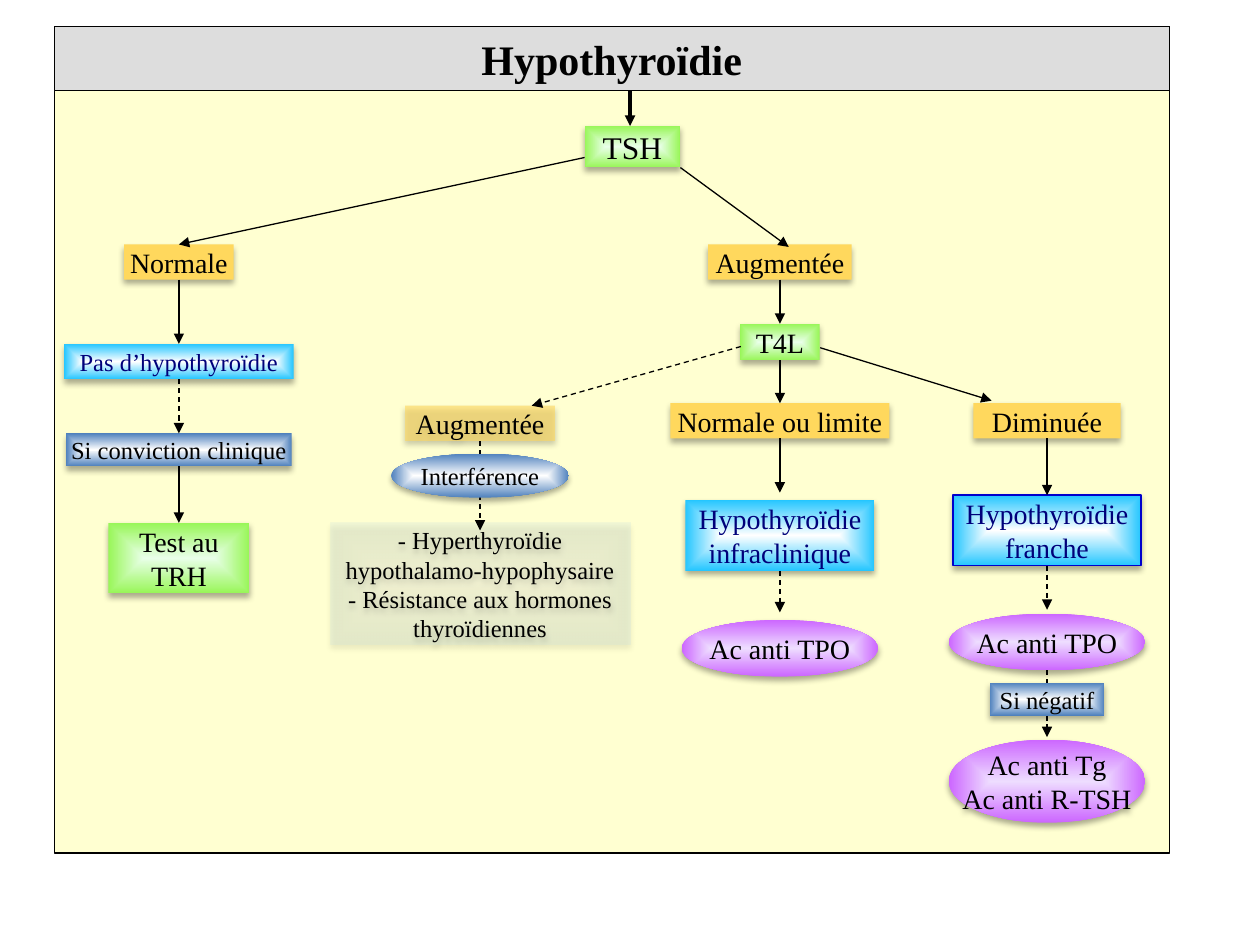
from dataclasses import dataclass

from lxml import etree
from pptx import Presentation
from pptx import util as u
from pptx.dml.color import RGBColor
from pptx.enum import dml, shapes, text
from pptx.oxml.ns import qn


@dataclass(frozen=True)
class Theme:
    font: str = "Times New Roman"
    black: str = "000000"
    navy: str = "00007A"
    outline: str = "0000CC"
    panel: tuple = ("FFFFD1",)
    header: tuple = ("DDDDDD",)
    amber: tuple = ("FFD85D",)
    # Gradients run from the centre to the edge
    green: tuple = ("E9FFE9", "98F658")
    sky: tuple = ("FFFFFF", "25C6FF")
    steel: tuple = ("FFFFFF", "4F81BD")
    violet: tuple = ("EEDDFF", "CC66FF")
    mist: tuple = ("FFFFFF", "CAE4E3")
    title: int = 24
    large: int = 18
    body: int = 16
    small: int = 14


theme = Theme()
RECT, OVAL = shapes.MSO_SHAPE.RECTANGLE, shapes.MSO_SHAPE.OVAL
LEFT, MIDDLE, T4L, RIGHT = 1.42, 3.81, 6.19, 8.31  # column centres
TOP, BOTTOM = 0, 2  # connection sites

deck = Presentation()
deck.slide_width, deck.slide_height = u.Inches(10), u.Inches(7.5)
page = deck.slides.add_slide(deck.slide_layouts[6])


def add_box(lines, centre, top, width, height, fill, size=theme.body, color=theme.black,
            kind=RECT, line=None, line_width=0.75, opacity=100, bold=False, shadow=True):
    """Add a shape centred on a column, with one paragraph per line of text."""
    box = page.shapes.add_shape(kind, u.Inches(centre - width / 2), u.Inches(top),
                                u.Inches(width), u.Inches(height))
    properties = box._element.spPr
    if len(fill) == 1:
        box.fill.solid()
        box.fill.fore_color.rgb = RGBColor.from_string(fill[0])
    else:
        box.fill.gradient()
        for stop, shade in zip(box.fill.gradient_stops, fill):
            stop.color.rgb = RGBColor.from_string(shade)
        gradient = properties.find(qn("a:gradFill"))
        gradient.remove(gradient.find(qn("a:lin")))
        route = etree.SubElement(gradient, qn("a:path"), path="shape")
        etree.SubElement(route, qn("a:fillToRect"), l="50000", t="50000", r="50000", b="50000")
    if opacity < 100:
        for shade in properties.iter(qn("a:srgbClr")):
            etree.SubElement(shade, qn("a:alpha"), val=str(opacity * 1000))
    if line:
        box.line.color.rgb = RGBColor.from_string(line)
        box.line.width = u.Pt(line_width)
    else:
        box.line.fill.background()
    box.shadow.inherit = False
    if shadow:
        outer = etree.SubElement(properties.find(qn("a:effectLst")), qn("a:outerShdw"),
                                 blurRad=str(u.Pt(3.5)), dist=str(u.Pt(2.2)),
                                 dir="5400000", rotWithShape="0")
        shade = etree.SubElement(outer, qn("a:srgbClr"), val=theme.black)
        etree.SubElement(shade, qn("a:alpha"), val="32000")

    frame = box.text_frame
    frame.word_wrap = kind == RECT
    frame.vertical_anchor = text.MSO_ANCHOR.MIDDLE
    frame.margin_left = frame.margin_right = u.Inches(0.02)
    frame.margin_top = frame.margin_bottom = u.Inches(0.01)
    for number, words in enumerate(lines):
        para = frame.add_paragraph() if number else frame.paragraphs[0]
        para.alignment = text.PP_ALIGN.CENTER
        span = para.add_run()
        span.text = words
        span.font.name, span.font.size, span.font.bold = theme.font, u.Pt(size), bold
        span.font.color.rgb = RGBColor.from_string(color)
    return box


def add_arrow(start, end, dashed=False, width=0.75):
    """Add an arrow; each end is a box (bottom at the start, top at the end) or a point."""
    points = [end_point if isinstance(end_point, tuple) else (0, 0) for end_point in (start, end)]
    arrow = page.shapes.add_connector(shapes.MSO_CONNECTOR.STRAIGHT,
                                      *[u.Inches(value) for point in points for value in point])
    if not isinstance(start, tuple):
        arrow.begin_connect(start, BOTTOM)
    if not isinstance(end, tuple):
        arrow.end_connect(end, TOP)
    arrow.line.color.rgb = RGBColor.from_string(theme.black)
    arrow.line.width = u.Pt(width)
    if dashed:
        arrow.line.dash_style = dml.MSO_LINE.DASH
    properties = arrow._element.spPr
    etree.SubElement(properties.find(qn("a:ln")), qn("a:tailEnd"), type="triangle")
    etree.SubElement(properties, qn("a:effectLst"))


# Panel and heading
add_box([], 4.855, 0.21, 8.85, 6.56, theme.panel, line=theme.black, shadow=False)
add_box(["Hypothyroïdie"], 4.855, 0.21, 8.85, 0.51, theme.header, theme.title,
        line=theme.black, bold=True, shadow=False)

# Tests and their results
add_box(["TSH"], 5.02, 1, 0.76, 0.33, theme.green, theme.large)
t4l = add_box(["T4L"], T4L, 2.57, 0.63, 0.29, theme.green)
trh = add_box(["Test au TRH"], LEFT, 4.15, 1.12, 0.56, theme.green)
tsh_normal = add_box(["Normale"], LEFT, 1.94, 0.87, 0.28, theme.amber)
tsh_raised = add_box(["Augmentée"], T4L, 1.94, 1.14, 0.28, theme.amber)
t4l_raised = add_box(["Augmentée"], MIDDLE, 3.22, 1.19, 0.28, theme.amber, opacity=60)
t4l_normal = add_box(["Normale ou limite"], T4L, 3.2, 1.74, 0.28, theme.amber)
t4l_lowered = add_box(["Diminuée"], RIGHT, 3.2, 1.17, 0.28, theme.amber)

# Diagnoses
healthy = add_box(["Pas d’hypothyroïdie"], LEFT, 2.73, 1.82, 0.28, theme.sky,
                  theme.small, theme.navy)
conviction = add_box(["Si conviction clinique"], LEFT, 3.44, 1.79, 0.26, theme.steel, theme.small)
subclinical = add_box(["Hypothyroïdie infraclinique"], T4L, 3.97, 1.5, 0.56, theme.sky,
                      color=theme.navy)
overt = add_box(["Hypothyroïdie franche"], RIGHT, 3.93, 1.49, 0.56, theme.sky,
                color=theme.navy, line=theme.outline, line_width=1)
add_box(["- Hyperthyroïdie hypothalamo-hypophysaire", "- Résistance aux hormones thyroïdiennes"],
        MIDDLE, 4.15, 2.38, 0.97, theme.mist, theme.small, opacity=25)

# Antibodies
for lines, centre, top, height in [
    (["Ac anti TPO"], T4L, 4.92, 0.45),
    (["Ac anti TPO"], RIGHT, 4.87, 0.45),
    (["Ac anti Tg", "Ac anti R-TSH"], RIGHT, 5.87, 0.66),
]:
    add_box(lines, centre, top, 1.56, height, theme.violet, kind=OVAL)

# Solid arrows
add_arrow((5, 0.72), (5, 1), width=2)
for start, end in [
    ((4.64, 1.25), tsh_normal),
    ((5.4, 1.33), (6.26, 1.96)),
    (tsh_normal, healthy),
    (conviction, trh),
    (tsh_raised, t4l),
    (t4l, t4l_normal),
    ((6.51, 2.76), (7.87, 3.18)),
    (t4l_normal, (T4L, 3.91)),
    (t4l_lowered, overt),
]:
    add_arrow(start, end)

# Dashed arrows
for start, end in [
    (healthy, conviction),
    ((5.88, 2.75), (4.22, 3.22)),
    (t4l_raised, (MIDDLE, 4.21)),
    (subclinical, (T4L, 4.86)),
    (overt, (RIGHT, 4.84)),
    ((RIGHT, 5.32), (RIGHT, 5.85)),
]:
    add_arrow(start, end, dashed=True)

# Conditions lying over the dashed arrows
add_box(["Interférence"], MIDDLE, 3.6, 1.41, 0.35, theme.steel, theme.small, kind=OVAL)
add_box(["Si négatif"], RIGHT, 5.42, 0.91, 0.26, theme.steel, theme.small)

deck.save("out.pptx")
